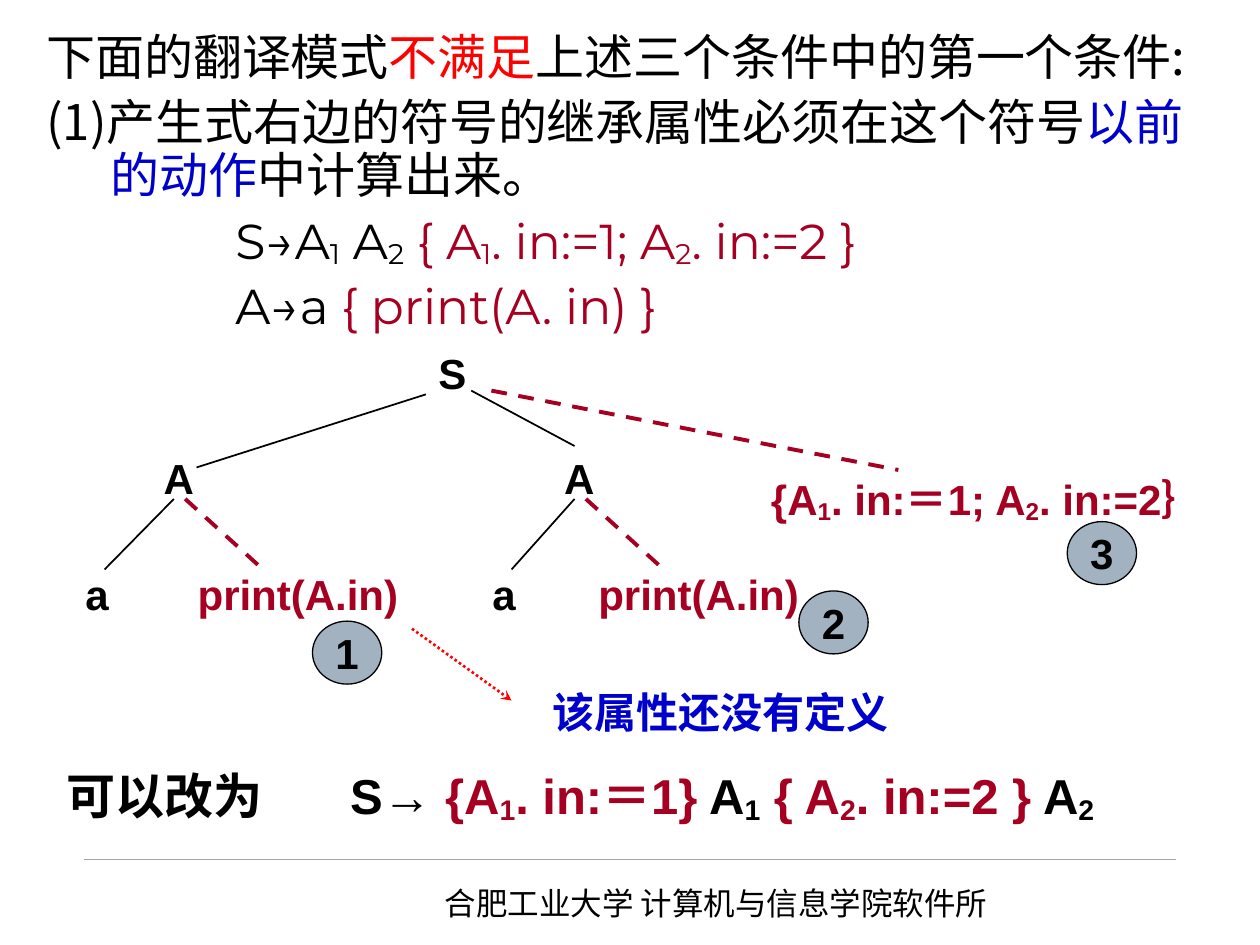
from pptx import Presentation
from pptx.dml.color import RGBColor
from pptx.enum.dml import MSO_LINE
from pptx.enum.shapes import MSO_CONNECTOR, MSO_SHAPE
from pptx.enum.text import MSO_ANCHOR, MSO_AUTO_SIZE, PP_ALIGN
from pptx.oxml.ns import qn
from pptx.util import Inches, Pt
from lxml.etree import SubElement

BLACK = RGBColor(0x00, 0x00, 0x00)
RED = RGBColor(0xFF, 0x00, 0x00)
BLUE = RGBColor(0x00, 0x00, 0xCC)
CRIMSON = RGBColor(0xA5, 0x00, 0x21)
SLATE = RGBColor(0xA3, 0xB2, 0xC1)
GRAY = RGBColor(0xA6, 0xA6, 0xA6)
WHITE = RGBColor(0xFF, 0xFF, 0xFF)
CHINESE = "Noto Sans CJK SC"


class SlideBuilder:
    def __init__(self, slide):
        self.slide = slide
        self.label = {"name": "Arial", "size": Pt(24), "bold": True}

    def add_pieces(self, paragraph, pieces, style):
        for text, color in pieces:
            for index, part in enumerate(text.split("_")):
                if index:
                    self.add_piece(paragraph, part[0], color, style, "-11000")
                    part = part[1:]
                if part:
                    self.add_piece(paragraph, part, color, style)

    def add_piece(self, paragraph, text, color, style, baseline=None):
        run = paragraph.add_run()
        run.text = text
        for name, value in style.items():
            setattr(run.font, name, value)
        run.font.color.rgb = color
        properties = run._r.get_or_add_rPr()
        SubElement(properties, qn("a:ea")).set("typeface", CHINESE)
        if baseline:
            properties.set("baseline", baseline)

    def text(self, box, pieces, **changes):
        shape = self.slide.shapes.add_textbox(*map(Inches, box))
        frame = shape.text_frame
        frame.word_wrap = True
        frame.auto_size = MSO_AUTO_SIZE.SHAPE_TO_FIT_TEXT
        self.add_pieces(frame.paragraphs[0], pieces, {**self.label, **changes})
        return frame

    def body(self, box, paragraphs):
        shape = self.slide.shapes.add_textbox(*map(Inches, box))
        frame = shape.text_frame
        frame.word_wrap = True
        for index, (font, margin, indent, pieces) in enumerate(paragraphs):
            paragraph = frame.add_paragraph() if index else frame.paragraphs[0]
            paragraph.line_spacing = 0.9
            paragraph.space_before = Pt(7)
            properties = paragraph._p.get_or_add_pPr()
            properties.set("marL", str(Inches(margin)))
            properties.set("indent", str(Inches(indent)))
            self.add_pieces(paragraph, pieces, {"name": font, "size": Pt(28)})

    def line(self, start, end, color=BLACK, width=1, dash=None, arrow=None):
        connector = self.slide.shapes.add_connector(
            MSO_CONNECTOR.STRAIGHT, *map(Inches, (*start, *end)))
        connector.line.color.rgb = color
        connector.line.width = Pt(width)
        if dash:
            connector.line.dash_style = dash
        if arrow:
            SubElement(connector.line._get_or_add_ln(), qn("a:tailEnd")).set("type", arrow)
        SubElement(connector._element.spPr, qn("a:effectLst"))

    def badge(self, left, top, number):
        shape = self.slide.shapes.add_shape(
            MSO_SHAPE.OVAL, *map(Inches, (left, top, 0.55, 0.5)))
        shape.shadow.inherit = False
        shape.fill.solid()
        shape.fill.fore_color.rgb = SLATE
        shape.line.color.rgb = BLACK
        shape.line.width = Pt(0.75)
        frame = shape.text_frame
        frame.word_wrap = False
        frame.vertical_anchor = MSO_ANCHOR.MIDDLE
        frame.paragraphs[0].alignment = PP_ALIGN.CENTER
        self.add_pieces(frame.paragraphs[0], [(number, BLACK)], self.label)


presentation = Presentation()
presentation.slide_width = Inches(10)
presentation.slide_height = Inches(7.5)
slide = presentation.slides.add_slide(presentation.slide_layouts[6])
slide.background.fill.solid()
slide.background.fill.fore_color.rgb = WHITE
builder = SlideBuilder(slide)

builder.line((0.67, 6.82), (9.33, 6.82), GRAY, 0.25)
builder.text((3.43, 6.97, 5.2, 0.4), [("合肥工业大学 计算机与信息学院软件所", BLACK)],
             name=CHINESE, size=Pt(18), bold=False)

builder.body((0.27, 0.21, 9.53, 2.52), [
    (CHINESE, 0.51, -0.51, [("下面的翻译模式", BLACK), ("不满足", RED),
                            ("上述三个条件中的第一个条件:", BLACK)]),
    (CHINESE, 0.51, -0.51, [("(1)产生式右边的符号的继承属性必须在这个符号", BLACK),
                            ("以前的动作", BLUE), ("中计算出来。", BLACK)]),
    ("Montserrat", 1.5, 0, [("S→A_1 A_2 ", BLACK),
                            ("{ A_1. in:=1; A_2. in:=2 }", CRIMSON)]),
    ("Montserrat", 1.5, 0, [("A→a ", BLACK), ("{ print(A. in) }", CRIMSON)]),
])

builder.text((3.38, 2.71, 0.55, 0.5), [("S", BLACK)])
builder.line((3.38, 3.13), (1.56, 3.71))
builder.line((3.74, 3.1), (4.56, 3.54))
builder.line((3.9, 3.1), (7.13, 3.73), CRIMSON, 2.25, MSO_LINE.DASH)

for node, leaf, edge_top, edge_foot, action in (
        (1.2, 0.58, 1.38, 0.83, 1.47), (4.38, 3.81, 4.56, 4.06, 4.65)):
    builder.text((node, 3.54, 0.6, 0.5), [("A", BLACK)])
    builder.text((leaf, 4.46, 0.64, 0.5), [("a", BLACK)])
    builder.line((edge_top, 3.96), (edge_foot, 4.52))
    builder.line((action, 3.96), (action + 0.64, 4.54), CRIMSON, 2.25, MSO_LINE.DASH)
    builder.text((action, 4.46, 1.82, 0.5), [("print(A.in)", CRIMSON)])

builder.text((6.02, 3.71, 3.98, 0.51), [("{A_1. in:＝1; A_2. in:=2｝", CRIMSON)])
for left, top, number in ((2.48, 4.93, "1"), (6.34, 4.69, "2"), (8.47, 4.14, "3")):
    builder.badge(left, top, number)

builder.line((3.27, 4.99), (4.06, 5.56), RED, 1.5, MSO_LINE.ROUND_DOT, "stealth")
builder.text((4.29, 5.4, 4.33, 0.5), [("该属性还没有定义", BLUE)])

rewrite = builder.text((0.43, 6.03, 9.14, 0.58), [
    ("可以改为\tS→ ", BLACK), ("{A_1. in:＝1}", CRIMSON), (" A_1 ", BLACK),
    ("{ A_2. in:=2 }", CRIMSON), (" A_2", BLACK)], size=Pt(28))
tabs = SubElement(rewrite.paragraphs[0]._p.get_or_add_pPr(), qn("a:tabLst"))
tab = SubElement(tabs, qn("a:tab"))
tab.set("pos", str(Inches(2.25)))
tab.set("algn", "l")

presentation.save("out.pptx")
